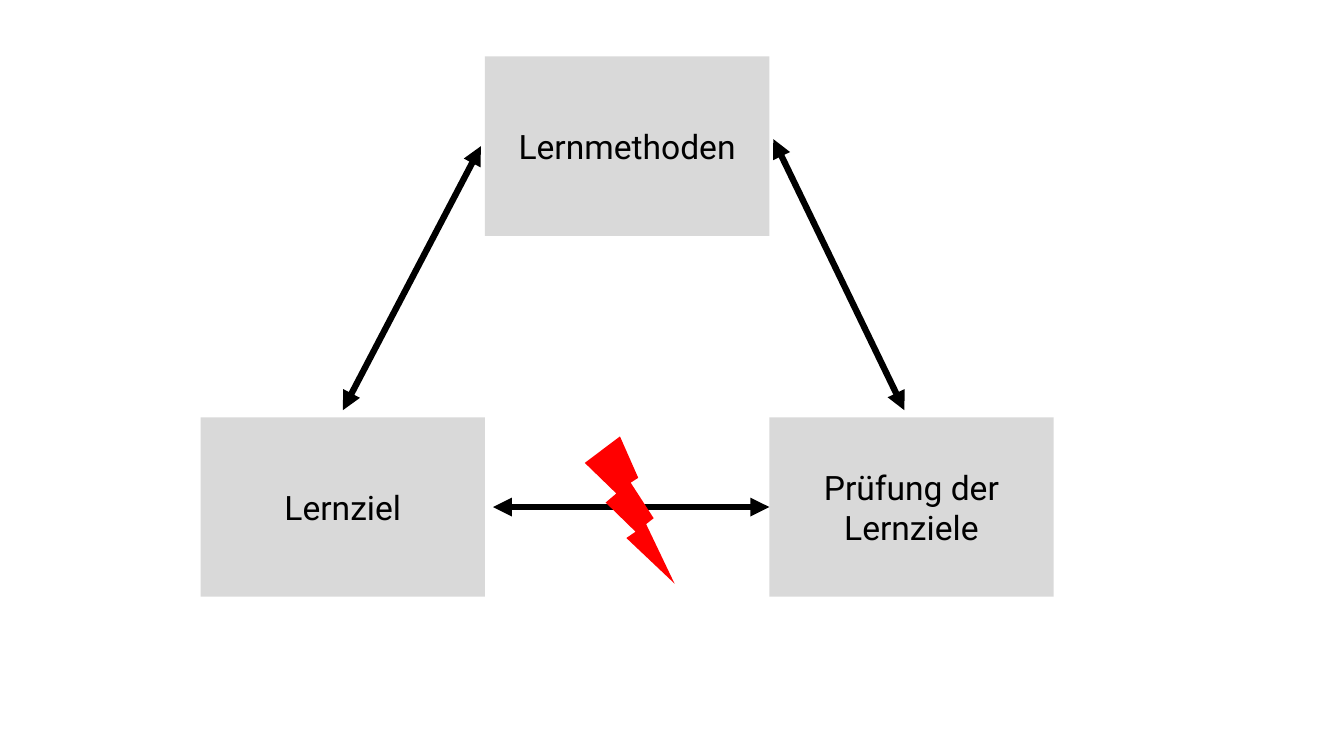
"""Build a triangle of learning goal, methods and assessment with one conflict."""
import pptx
import pptx.util
import pptx.dml.color
import pptx.enum.shapes
import pptx.enum.text
import pptx.oxml.ns
import lxml.etree

Inches = pptx.util.Inches
Color = pptx.dml.color.RGBColor
Kind = pptx.enum.shapes.MSO_SHAPE
GREY = Color(0xD9, 0xD9, 0xD9)
BLACK = Color(0, 0, 0)
RED = Color(255, 0, 0)

LEFT, WIDTH, HEIGHT = 1.99, 2.82, 1.78
TOP, BASE = 0.56, 4.14
BOXES = [("Lernziel", 0, BASE), ("Prüfung der Lernziele", 2, BASE),
         ("Lernmethoden", 1, TOP)]
ARROWS = [(4.77, 1.45, 3.4, 4.07), (7.63, 5.03, 4.89, 5.03),
          (8.97, 4.07, 7.67, 1.38)]
BOLT = (5.8, 4.33, 0.89, 1.46)


def add_form(slide, kind, place, color):
    form = slide.shapes.add_shape(kind, *map(Inches, place))
    form.shadow.inherit = False
    form.fill.solid()
    form.fill.fore_color.rgb = color
    form.line.fill.background()
    return form


def add_box(slide, text, col, top):
    place = (LEFT + col * WIDTH, top, WIDTH, HEIGHT)
    frame = add_form(slide, Kind.RECTANGLE, place, GREY).text_frame
    frame.word_wrap = True
    frame.vertical_anchor = pptx.enum.text.MSO_ANCHOR.MIDDLE
    para = frame.paragraphs[0]
    para.text = text
    para.alignment = pptx.enum.text.PP_ALIGN.CENTER
    para.font.name = "Roboto"
    para.font.size = pptx.util.Pt(24)
    para.font.color.rgb = BLACK


def add_arrow(slide, ends):
    kind = pptx.enum.shapes.MSO_CONNECTOR.STRAIGHT
    arrow = slide.shapes.add_connector(kind, *map(Inches, ends))
    arrow.line.width = pptx.util.Pt(4.5)
    arrow.line.color.rgb = BLACK
    props = arrow.element.spPr
    line = arrow.line._get_or_add_ln()
    for tag in ("a:headEnd", "a:tailEnd"):
        lxml.etree.SubElement(line, pptx.oxml.ns.qn(tag), type="triangle")
    lxml.etree.SubElement(props, pptx.oxml.ns.qn("a:effectLst"))


deck = pptx.Presentation()
deck.slide_width, deck.slide_height = Inches(13.33), Inches(7.5)
slide = deck.slides.add_slide(deck.slide_layouts[6])
for box in BOXES:
    add_box(slide, *box)
for ends in ARROWS:
    add_arrow(slide, ends)
add_form(slide, Kind.LIGHTNING_BOLT, BOLT, RED)
deck.save("out.pptx")
